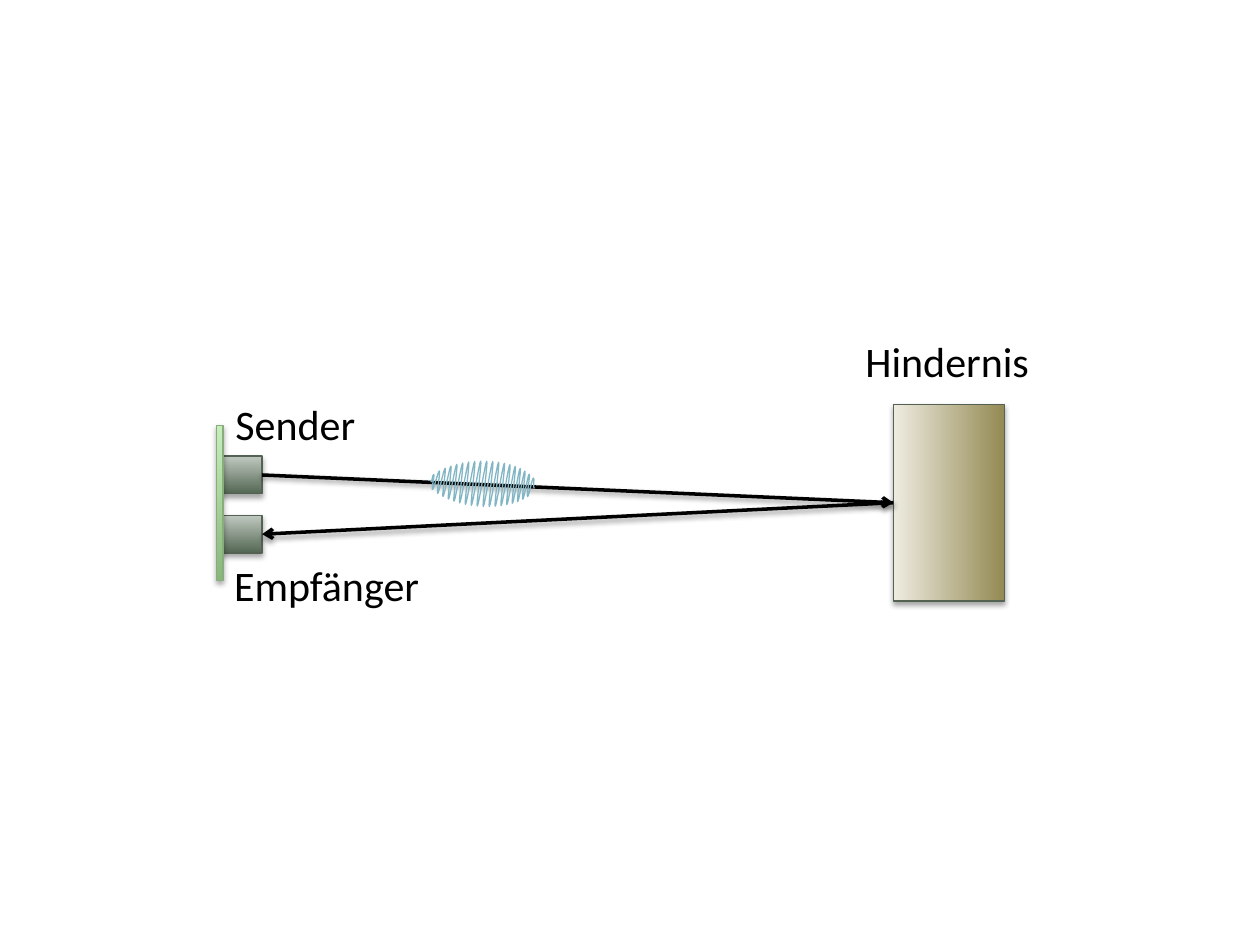
import math
from dataclasses import dataclass

from pptx import Presentation
from pptx import util as u
from pptx.dml.color import RGBColor
from pptx.enum import shapes, text
from pptx.oxml import ns
from lxml import etree


@dataclass(frozen=True)
class Theme:
    """Colours, font and sizes of the slide."""
    ink: str = "000000"
    sensor: tuple = ("536653", "C0C9C0")
    board: tuple = ("88B67B", "C5EEBB")
    obstacle: tuple = ("EEECE1", "948A54")
    edge: str = "536253"
    board_edge: str = "88AC7E"
    wave: str = "82B6C5"
    font: str = "Calibri"
    label_size: int = 24
    thin: float = 0.75
    beam: float = 2


THEME = Theme()


def apply(target, values):
    """Set each attribute of target named in values."""
    for name, value in values.items():
        setattr(target, name, value)


def set_line(item, color, width):
    """Give a shape or connector a solid line."""
    item.line.color.rgb = RGBColor.from_string(color)
    item.line.width = u.Pt(width)


def add_shadow(effects, distance, opacity):
    """Put a soft downward shadow into an effect list."""
    shadow = etree.SubElement(effects, ns.qn("a:outerShdw"), {
        "blurRad": str(u.Pt(3.1)), "dist": str(u.Pt(distance)),
        "dir": "5400000", "rotWithShape": "0"})
    color = etree.SubElement(shadow, ns.qn("a:srgbClr"), val=THEME.ink)
    etree.SubElement(color, ns.qn("a:alpha"), val=str(opacity * 1000))


def add_block(page, left, top, width, height, colors, edge, angle=90):
    """Add a rectangle with a two-colour gradient and a shadow."""
    block = page.shapes.add_shape(
        shapes.MSO_SHAPE.RECTANGLE,
        *(u.Inches(v) for v in (left, top, width, height)))
    block.fill.gradient()
    block.fill.gradient_angle = angle
    for stop, color, position in zip(block.fill.gradient_stops, colors, (0, 1)):
        stop.color.rgb = RGBColor.from_string(color)
        stop.position = position
    set_line(block, edge, THEME.thin)
    block.shadow.inherit = False
    add_shadow(block._element.spPr.find(ns.qn("a:effectLst")), 1.8, 35)


def add_beam(page, start, end):
    """Add a straight arrow from start to end."""
    beam = page.shapes.add_connector(
        shapes.MSO_CONNECTOR.STRAIGHT, *(u.Inches(v) for v in start + end))
    set_line(beam, THEME.ink, THEME.beam)
    line = beam._element.spPr.find(ns.qn("a:ln"))
    etree.SubElement(line, ns.qn("a:tailEnd"), type="arrow")
    effects = etree.SubElement(beam._element.spPr, ns.qn("a:effectLst"))
    add_shadow(effects, 1.6, 38)


def wave_turns(left, middle, height, cycles, pitch):
    """Return the turning points of a pulse that swells and fades."""
    turns = [(left, middle)]
    for index in range(cycles):
        swell = math.sin(math.pi * (index + 1) / (cycles + 1)) ** 0.6
        drift = 0.03 * math.sin(math.pi * (index / (cycles - 1)) ** 2)
        x = left + 0.02 + index * pitch + drift
        turns += [(x, middle - height * swell),
                  (x - 0.015 * swell, middle + height * swell)]
    turns[-1] = (left + 0.82, middle + 0.02)
    return turns


def round_turns(freeform, reach):
    """Replace straight segments by curves that are level at each turn."""
    outline = freeform._element.spPr.find(".//" + ns.qn("a:path"))
    x0, y0 = None, None
    for segment in list(outline):
        point = segment.find(ns.qn("a:pt"))
        x1, y1 = int(point.get("x")), int(point.get("y"))
        if segment.tag == ns.qn("a:lnTo"):
            curve = etree.Element(ns.qn("a:cubicBezTo"))
            for x, y in ((x0 + reach, y0), (x1 - reach, y1), (x1, y1)):
                etree.SubElement(curve, ns.qn("a:pt"), x=str(x), y=str(y))
            outline.replace(segment, curve)
        x0, y0 = x1, y1


def add_wave(page, turns):
    """Draw a rounded oscillation through the turning points."""
    start, *points = [(u.Inches(x), u.Inches(y)) for x, y in turns]
    builder = page.shapes.build_freeform(*start)
    builder.add_line_segments(points, close=False)
    wave = builder.convert_to_shape()
    round_turns(wave, u.Inches(0.01))
    wave.fill.background()
    set_line(wave, THEME.wave, THEME.thin)
    wave.shadow.inherit = False
    wave.rotation = 2


def add_label(page, wording, left, top, width):
    """Add a one-line text label."""
    box = page.shapes.add_textbox(
        *(u.Inches(v) for v in (left, top, width, 0.5)))
    apply(box.text_frame, {"word_wrap": False,
                           "auto_size": text.MSO_AUTO_SIZE.SHAPE_TO_FIT_TEXT})
    span = box.text_frame.paragraphs[0].add_run()
    span.text = wording
    apply(span.font, {"name": THEME.font, "size": u.Pt(THEME.label_size)})
    span.font.color.rgb = RGBColor.from_string(THEME.ink)


def main():
    """Build the echo measurement slide."""
    deck = Presentation()
    apply(deck, {"slide_width": u.Inches(10), "slide_height": u.Inches(7.5)})
    page = deck.slides.add_slide(deck.slide_layouts[6])

    for top in (3.62, 4.09):
        add_block(page, 1.76, top, 0.32, 0.3, THEME.sensor, THEME.edge)
    add_block(page, 1.72, 3.38, 0.05, 1.23, THEME.board, THEME.board_edge)
    add_block(page, 7.09, 3.21, 0.88, 1.56, THEME.obstacle, THEME.edge, angle=0)

    sender, receiver, target = (2.08, 3.77), (2.08, 4.24), (7.09, 3.99)
    add_beam(page, target, receiver)
    add_beam(page, sender, target)
    add_wave(page, wave_turns(3.42, 3.84, 0.18, cycles=19, pitch=0.044))

    for label in (("Sender", 1.77, 3.11, 1.16),
                  ("Empfänger", 1.76, 4.39, 1.69),
                  ("Hindernis", 6.77, 2.61, 1.51)):
        add_label(page, *label)

    deck.save("out.pptx")


main()
